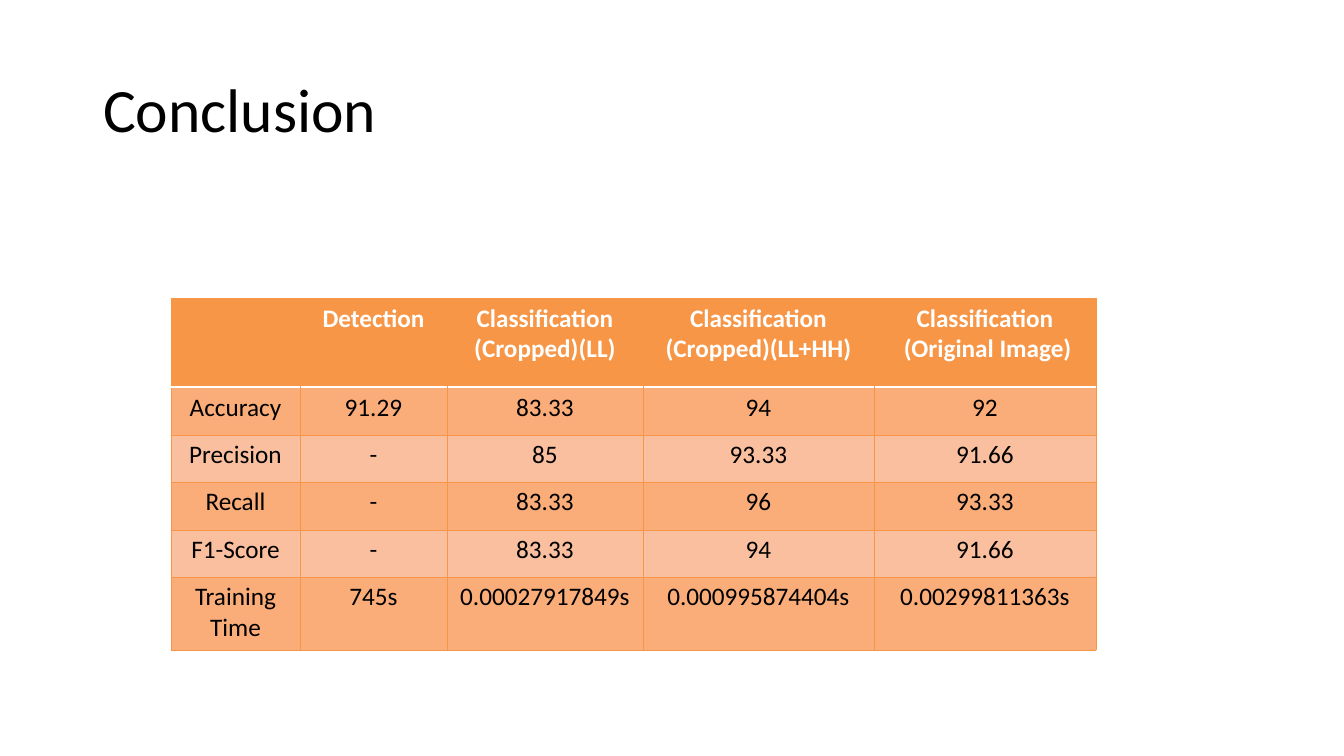
import itertools
from dataclasses import dataclass

import lxml.etree
import pptx
import pptx.dml.color
import pptx.enum.text
import pptx.oxml.ns
import pptx.util

TITLE = "Conclusion"
HEADER = [
    "",
    "Detection",
    "Classification (Cropped)(LL)",
    "Classification (Cropped)(LL+HH)",
    "Classification\n (Original Image)",
]
RESULTS = [
    ["Accuracy", "91.29", "83.33", "94", "92"],
    ["Precision", "-", "85", "93.33", "91.66"],
    ["Recall", "-", "83.33", "96", "93.33"],
    ["F1-Score", "-", "83.33", "94", "91.66"],
    ["Training Time", "745s", "0.00027917849s", "0.000995874404s", "0.00299811363s"],
]
SLIDE_SIZE = (1344, 756)
TITLE_BOX = (93, 40, 1159, 146)
COLUMN_EDGES = [171, 300, 447, 643, 874, 1096]
ROW_EDGES = [298, 387, 435, 482, 530, 577, 650]
EMU_PER_PX = 914400 / 100.8


@dataclass(frozen=True)
class Theme:
    font: str = "Calibri"
    title_size: int = 44
    table_size: int = 18
    text: str = "000000"
    light: str = "FFFFFF"
    accent: str = "F79646"
    odd_band: str = "FAAD79"
    even_band: str = "FABF9E"
    grid_width: float = 0.5
    rule_width: float = 1


THEME = Theme()


def px(length):
    return pptx.util.Emu(round(length * EMU_PER_PX))


def rgb(color):
    return pptx.dml.color.RGBColor.from_string(color)


def style_paragraph(paragraph, size, color, bold, alignment):
    paragraph.alignment = alignment
    paragraph.font.name = THEME.font
    paragraph.font.size = pptx.util.Pt(size)
    paragraph.font.bold = bold
    paragraph.font.color.rgb = rgb(color)


def add_border(cell, side, color, width):
    qn = pptx.oxml.ns.qn
    properties = cell._tc.get_or_add_tcPr()
    line = lxml.etree.SubElement(properties, qn(f"a:ln{side}"))
    if color is None:
        lxml.etree.SubElement(line, qn("a:noFill"))
        return
    line.set("w", str(pptx.util.Pt(width)))
    fill = lxml.etree.SubElement(line, qn("a:solidFill"))
    lxml.etree.SubElement(fill, qn("a:srgbClr"), val=color)


def cell_borders(row, column):
    grid = (THEME.accent, THEME.grid_width)
    rule = (THEME.light, THEME.rule_width)
    hidden = (None, 0)
    is_header = row == 0
    return {
        "L": hidden if is_header and column > 0 else grid,
        "R": hidden if is_header and column < len(HEADER) - 1 else grid,
        "T": rule if row == 1 else grid,
        "B": rule if is_header else grid,
    }


def fill_cell(cell, row, column, text):
    is_header = row == 0
    for side, (color, width) in cell_borders(row, column).items():
        add_border(cell, side, color, width)
    band = THEME.odd_band if row % 2 else THEME.even_band
    cell.fill.solid()
    cell.fill.fore_color.rgb = rgb(THEME.accent if is_header else band)
    cell.text = text
    for paragraph in cell.text_frame.paragraphs:
        style_paragraph(
            paragraph,
            THEME.table_size,
            THEME.light if is_header else THEME.text,
            is_header,
            pptx.enum.text.PP_ALIGN.CENTER,
        )


def add_title(slide):
    title = slide.shapes.title
    title.left, title.top, title.width, title.height = map(px, TITLE_BOX)
    title.text_frame.text = TITLE
    title.text_frame.vertical_anchor = pptx.enum.text.MSO_ANCHOR.MIDDLE
    paragraph = title.text_frame.paragraphs[0]
    paragraph.line_spacing = 0.9
    style_paragraph(
        paragraph, THEME.title_size, THEME.text, False, pptx.enum.text.PP_ALIGN.LEFT
    )


def add_results_table(slide):
    rows = [HEADER, *RESULTS]
    left, right = COLUMN_EDGES[0], COLUMN_EDGES[-1]
    top, bottom = ROW_EDGES[0], ROW_EDGES[-1]
    table = slide.shapes.add_table(
        len(rows), len(HEADER), px(left), px(top), px(right - left), px(bottom - top)
    ).table
    for column, (start, end) in zip(table.columns, itertools.pairwise(COLUMN_EDGES)):
        column.width = px(end - start)
    for row, (start, end) in zip(table.rows, itertools.pairwise(ROW_EDGES)):
        row.height = px(end - start)
    for row, texts in enumerate(rows):
        for column, text in enumerate(texts):
            fill_cell(table.cell(row, column), row, column, text)


def main():
    presentation = pptx.Presentation()
    presentation.slide_width, presentation.slide_height = map(px, SLIDE_SIZE)
    slide = presentation.slides.add_slide(presentation.slide_layouts[5])
    add_title(slide)
    add_results_table(slide)
    presentation.save("out.pptx")


if __name__ == "__main__":
    main()
